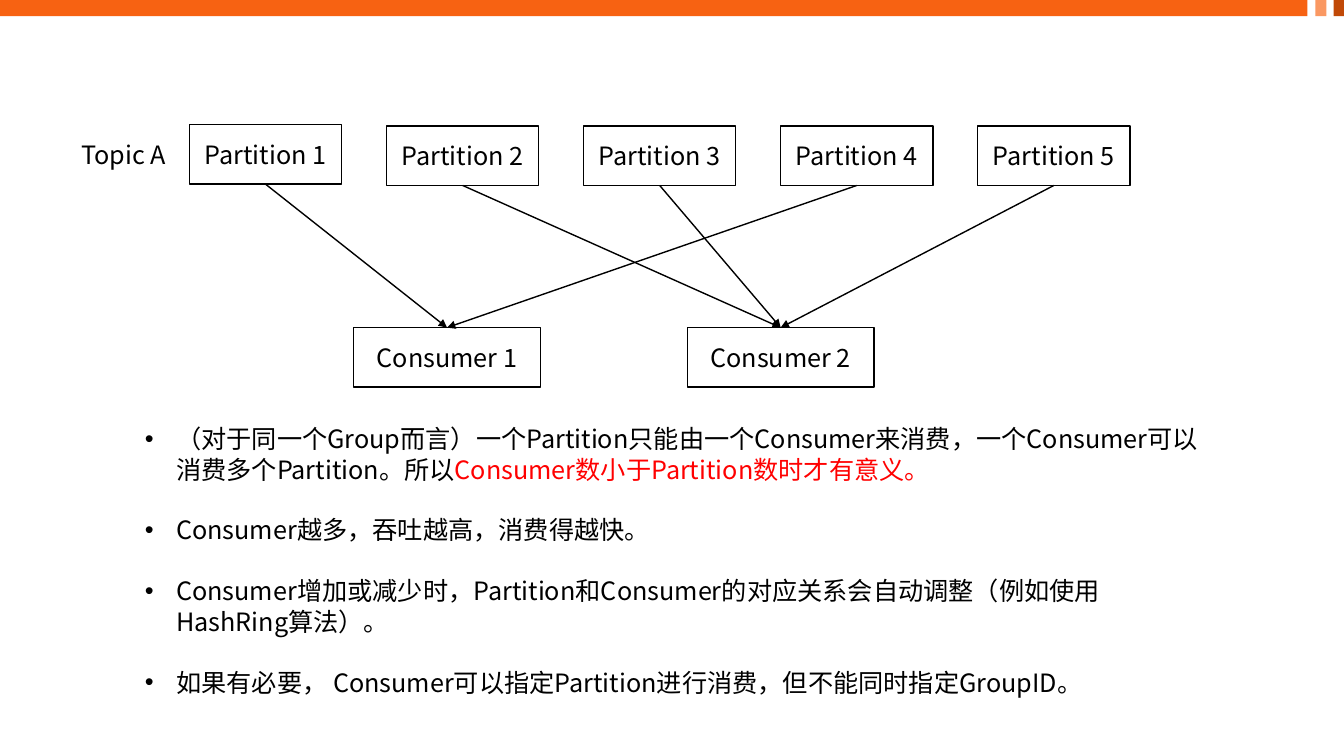
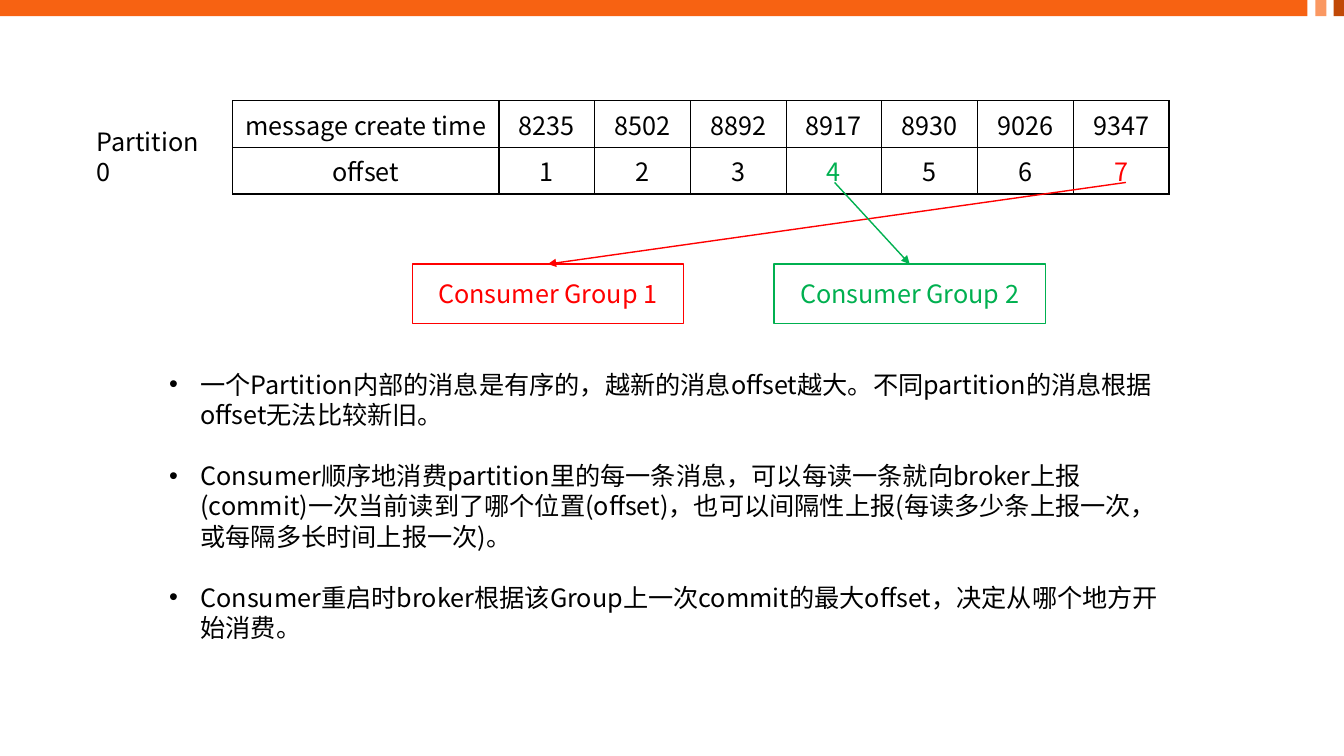
from dataclasses import dataclass

from lxml.etree import SubElement
from pptx import Presentation
from pptx.dml.color import RGBColor as RGB
from pptx.enum.shapes import MSO_CONNECTOR as CONN, MSO_SHAPE as SHAPE
from pptx.enum.text import MSO_ANCHOR as ANCHOR, PP_ALIGN as ALIGN
from pptx.oxml.ns import qn
from pptx.util import Emu, Inches, Pt

COLS, ROWS = 160, 90
BOTTOM, TOP = 2, 0


@dataclass(frozen=True)
class Theme:
    font: str = "Noto Sans CJK SC"
    size: float = 18
    leading: float = 21.75
    indent: float = 0.31
    stroke: float = 1
    ink: str = "000000"
    paper: str = "FFFFFF"
    red: str = "FF0000"
    green: str = "00B050"
    bands: tuple = (
        (0, 155.64, "F76212"),
        (156.6, 1.32, "FA9862"),
        (158.76, 1.24, "C14907"),
    )
    band_height: float = 1.92


THEME = Theme()


def write(p, text, color=THEME.ink, size=THEME.size, align=None, leading=None):
    if align is not None:
        p.alignment = align
    if leading:
        p.line_spacing = Pt(leading)
    r = p.add_run()
    r.text = text
    r.font.size = Pt(size)
    r.font.name = THEME.font
    r.font.color.rgb = RGB.from_string(color)
    SubElement(r.font._element, qn("a:ea")).set("typeface", THEME.font)


class Deck:
    def __init__(self, theme):
        self.theme = theme
        self.prs = Presentation()
        self.prs.slide_width = Inches(13.333)
        self.prs.slide_height = Inches(7.5)
        self.slide = None

    def x(self, cols):
        return Emu(round(self.prs.slide_width * cols / COLS))

    def y(self, rows):
        return Emu(round(self.prs.slide_height * rows / ROWS))

    def area(self, left, top, width, height):
        return self.x(left), self.y(top), self.x(width), self.y(height)

    def new_slide(self):
        self.slide = self.prs.slides.add_slide(self.prs.slide_layouts[6])
        for left, width, color in self.theme.bands:
            self.rect(left, 0, width, self.theme.band_height, color)

    def rect(self, left, top, width, height, fill):
        sp = self.slide.shapes.add_shape(
            SHAPE.RECTANGLE, *self.area(left, top, width, height))
        sp.shadow.inherit = False
        sp.fill.solid()
        sp.fill.fore_color.rgb = RGB.from_string(fill)
        sp.line.fill.background()
        return sp

    def box(self, text, left, top, width, height=7.08, color=THEME.ink):
        sp = self.rect(left, top, width, height, self.theme.paper)
        sp.line.color.rgb = RGB.from_string(color)
        sp.line.width = Pt(self.theme.stroke)
        tf = sp.text_frame
        tf.vertical_anchor = ANCHOR.MIDDLE
        write(tf.paragraphs[0], text, color=color, align=ALIGN.CENTER)
        return sp

    def arrow(self, target, source=None, start=(0, 0), color=THEME.ink):
        line = self.slide.shapes.add_connector(
            CONN.STRAIGHT, self.x(start[0]), self.y(start[1]), 0, 0)
        if source is not None:
            line.begin_connect(source, BOTTOM)
        line.end_connect(target, TOP)
        line.line.color.rgb = RGB.from_string(color)
        line.line.width = Pt(self.theme.stroke)
        SubElement(line.line._get_or_add_ln(), qn("a:tailEnd")).set("type", "triangle")
        SubElement(line._element.spPr, qn("a:effectLst"))

    def text_frame(self, left, top, width, height):
        sp = self.slide.shapes.add_textbox(*self.area(left, top, width, height))
        sp.text_frame.word_wrap = True
        return sp.text_frame

    def label(self, text, left, top, width):
        tf = self.text_frame(left, top, width, 4.8)
        write(tf.paragraphs[0], text, leading=self.theme.leading)

    def bullets(self, items, left, top, width, height=33.96):
        tf = self.text_frame(left, top, width, height)
        for i, runs in enumerate(items):
            p = tf.add_paragraph() if i else tf.paragraphs[0]
            p.space_after = Pt(self.theme.leading)
            for text, color in runs:
                write(p, text, color=color, leading=self.theme.leading)
            indent = Inches(self.theme.indent)
            pPr = p._p.get_or_add_pPr()
            pPr.set("marL", str(indent))
            pPr.set("indent", str(-indent))
            SubElement(pPr, qn("a:buFont")).set("typeface", "Arial")
            SubElement(pPr, qn("a:buChar")).set("char", "•")

    def table(self, rows, left, top, widths, row_height, accents):
        frame = self.slide.shapes.add_table(
            len(rows), len(widths),
            *self.area(left, top, sum(widths), row_height * len(rows)))
        tbl = frame.table
        tbl.first_row = tbl.horz_banding = False
        for col, width in zip(tbl.columns, widths):
            col.width = self.x(width)
        for i, row in enumerate(rows):
            for j, text in enumerate(row):
                cell = tbl.cell(i, j)
                self.borders(cell)
                cell.fill.background()
                write(cell.text_frame.paragraphs[0], text, align=ALIGN.CENTER,
                      color=accents.get((i, j), self.theme.ink))

    def borders(self, cell):
        tcPr = cell._tc.get_or_add_tcPr()
        for side in ("lnL", "lnR", "lnT", "lnB"):
            ln = SubElement(tcPr, qn(f"a:{side}"))
            ln.set("w", str(Pt(self.theme.stroke)))
            fill = SubElement(ln, qn("a:solidFill"))
            SubElement(fill, qn("a:srgbClr")).set("val", self.theme.ink)


def partition_slide(deck):
    t = deck.theme
    deck.new_slide()
    tops = [14.85] + [15] * 4
    partitions = [deck.box(f"Partition {i + 1}", 22.56 + 23.46 * i, top, 18.12)
                  for i, top in enumerate(tops)]
    consumers = [deck.box(f"Consumer {i + 1}", 42.12 + 39.72 * i, 39, 22.2)
                 for i in range(2)]
    for partition, consumer in zip(partitions, (0, 1, 1, 0, 1)):
        deck.arrow(consumers[consumer], source=partition)
    deck.bullets([
        [("（对于同一个Group而言）一个Partition只能由一个Consumer来消费，"
          "一个Consumer可以消费多个Partition。所以", t.ink),
         ("Consumer数小于Partition数时才有意义。", t.red)],
        [("Consumer越多，吞吐越高，消费得越快。", t.ink)],
        [("Consumer增加或减少时，Partition和Consumer的对应关系会自动调整"
          "（例如使用HashRing算法）。", t.ink)],
        [("如果有必要， Consumer可以指定Partition进行消费，"
          "但不能同时指定GroupID。", t.ink)],
    ], 16.08, 49.8, 127.8)
    deck.label("Topic A", 8.52, 15.96, 13.2)


def offset_slide(deck):
    t = deck.theme
    deck.new_slide()
    times = ["8235", "8502", "8892", "8917", "8930", "9026", "9347"]
    offsets = [str(i + 1) for i in range(len(times))]
    deck.table([["message create time"] + times, ["offset"] + offsets],
               27.72, 12, [31.68] + [11.4] * len(times), 4.87,
               {(1, 4): t.green, (1, 7): t.red})
    deck.label("Partition 0", 10.32, 14.4, 15.72)
    groups = ((t.red, 134.04), (t.green, 99.36))
    boxes = [deck.box(f"Consumer Group {i + 1}", 49.08 + 43.08 * i, 31.44, 32.28,
                      color=color)
             for i, (color, _) in enumerate(groups)]
    for box, (color, start) in zip(boxes, groups):
        deck.arrow(box, start=(start, 21.72), color=color)
    deck.bullets([
        [("一个Partition内部的消息是有序的，越新的消息offset越大。"
          "不同partition的消息根据offset无法比较新旧。", t.ink)],
        [("Consumer顺序地消费partition里的每一条消息，可以每读一条就向broker上报"
          "(commit)一次当前读到了哪个位置(offset)，也可以间隔性上报"
          "(每读多少条上报一次，或每隔多长时间上报一次)。", t.ink)],
        [("Consumer重启时broker根据该Group上一次commit的最大offset，"
          "决定从哪个地方开始消费。", t.ink)],
    ], 18.96, 43.32, 122.04)


def main():
    deck = Deck(THEME)
    partition_slide(deck)
    offset_slide(deck)
    deck.prs.save("out.pptx")


if __name__ == "__main__":
    main()
